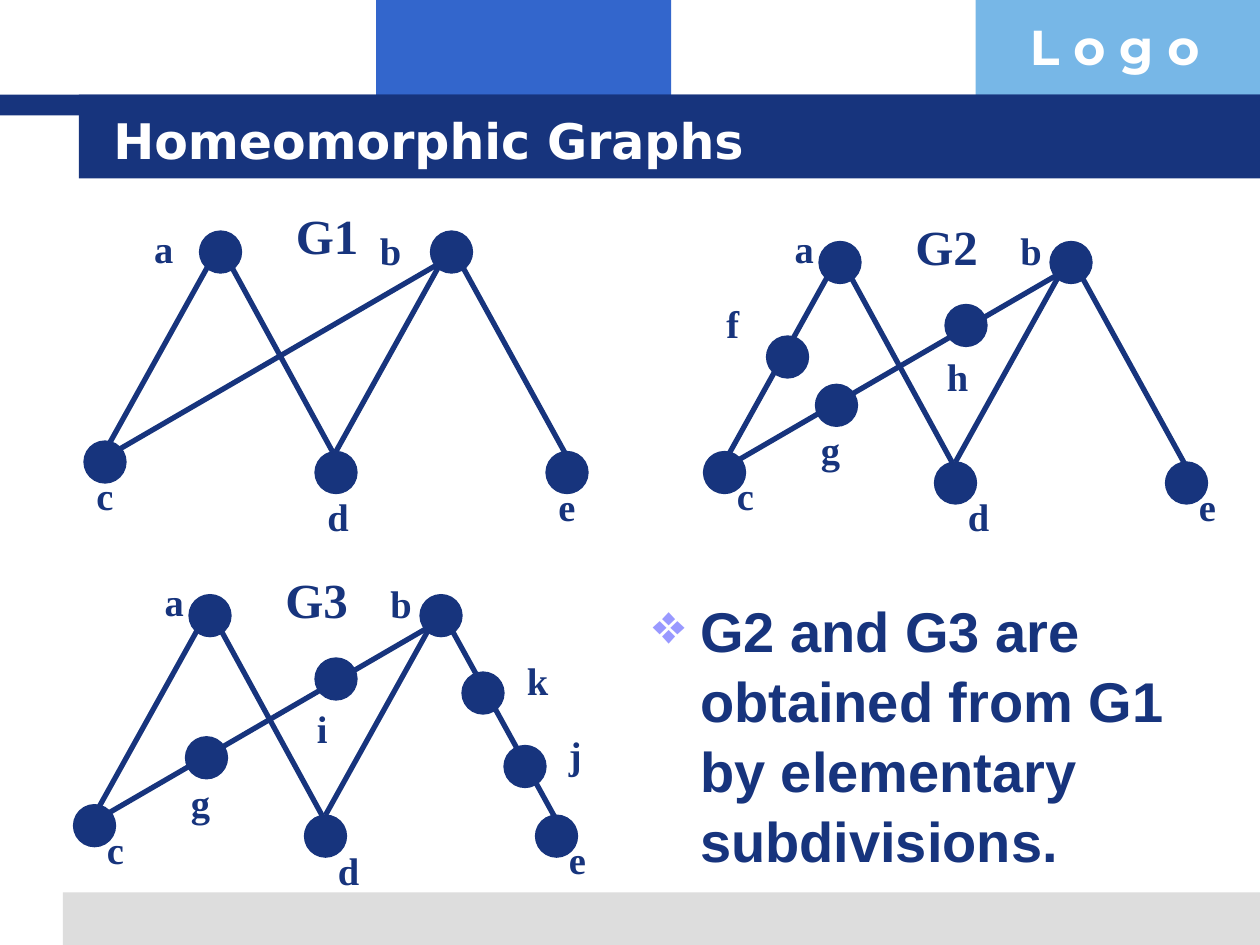
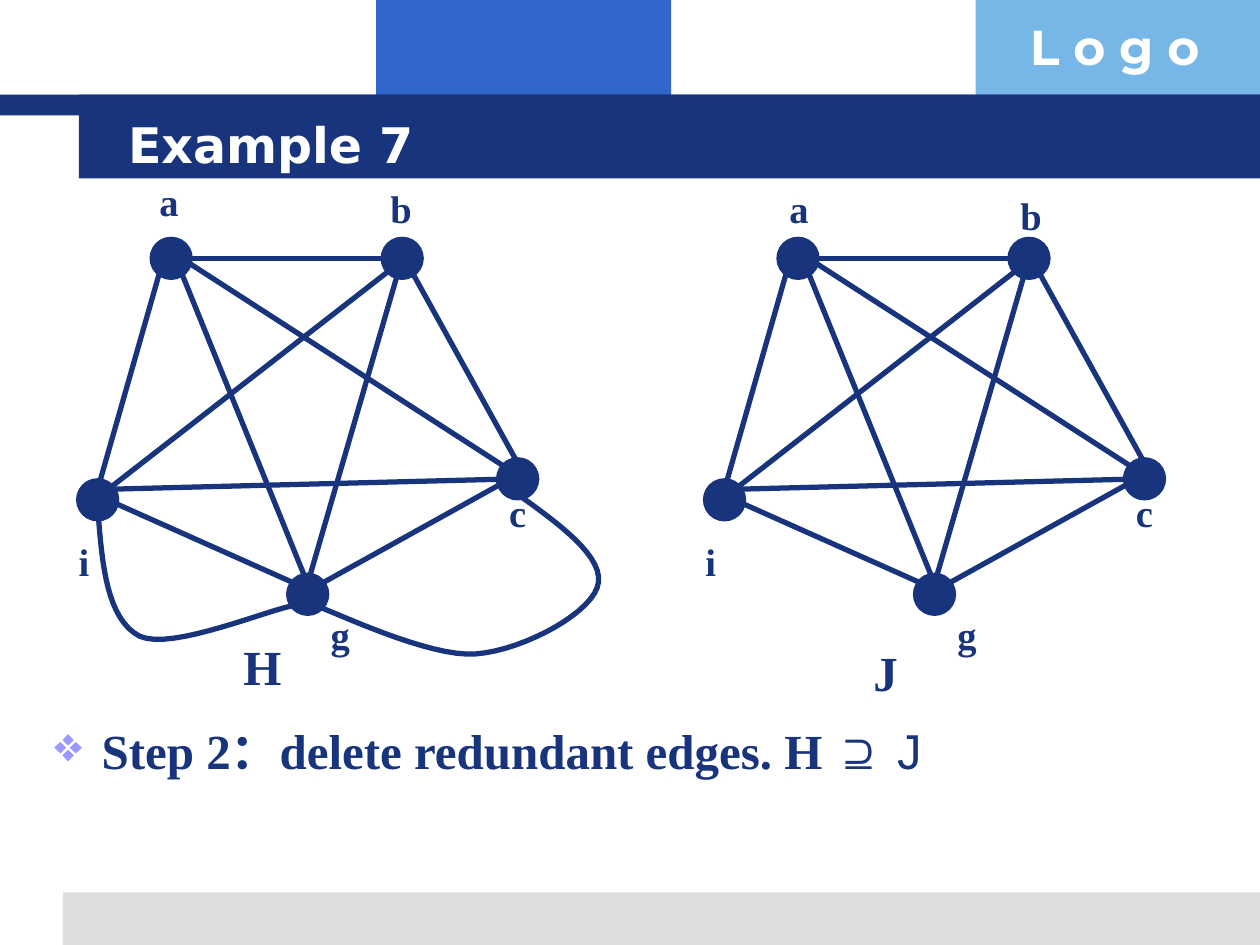
from typing import NamedTuple

from lxml import etree
from pptx import Presentation
from pptx.dml.color import RGBColor
from pptx.enum.shapes import MSO_CONNECTOR, MSO_SHAPE
from pptx.enum.text import MSO_ANCHOR, MSO_AUTO_SIZE, PP_ALIGN
from pptx.oxml.ns import qn
from pptx.util import Pt

RECTANGLE, OVAL = MSO_SHAPE.RECTANGLE, MSO_SHAPE.OVAL
STRAIGHT = MSO_CONNECTOR.STRAIGHT
MIDDLE, TOP = MSO_ANCHOR.MIDDLE, MSO_ANCHOR.TOP
NO_FIT, LEFT = MSO_AUTO_SIZE.NONE, PP_ALIGN.LEFT

COLORS = {"navy": "17347D", "blue": "3366CC", "sky": "77B7E7",
          "grey": "DDDDDD", "white": "FFFFFF", "bullet": "9999FF"}
SERIF, SANS = "Times New Roman", "Arial"
VERTEX_SIZE, EDGE_WIDTH, BULLET_INDENT = 24, 3, 27
CURVE_STEPS = 16

Point = tuple[float, float]
Box = tuple[float, float, float, float]


class Band(NamedTuple):
    box: Box
    color: str


class Style(NamedTuple):
    size: float
    name: str
    color: str = "navy"
    bold: bool = True


class Edge(NamedTuple):
    begin: Point
    end: Point


class Label(NamedTuple):
    text: str
    at: Point


class Graph(NamedTuple):
    vertices: list[Point]
    edges: list[Edge]
    labels: list[Label]


BANDS = [
    Band((215, 0, 168.5, 66), "blue"),
    Band((557.5, 0, 162.5, 66), "sky"),
    Band((36, 510, 684, 30), "grey"),
    Band((0, 54, 720, 12), "navy"),
    Band((45, 54, 675, 48), "navy"),
]
HEADING = Style(28, "DejaVu Sans", "white")
LOGO = Style(28, "Montserrat", "white")
GRAPH_NAME, VERTEX_NAME = Style(28, SERIF), Style(22, SERIF)

# G1 is the base of the homeomorphic graphs; G2 and G3 are shifted versions
G1 = Graph(
    [(114, 132), (246, 132), (48, 252), (180, 258), (312, 258)],
    [Edge((60, 258), (120, 150)), Edge((196.5, 270), (131, 150)),
     Edge((252, 150), (66, 258)), Edge((192, 258), (252, 150)),
     Edge((329, 270), (263, 150))],
    [Label("a", (81, 124.8)), Label("b", (210, 126)), Label("c", (48, 266.4)),
     Label("d", (180, 278.4)), Label("e", (312, 272.4))],
)
G1_NAME_AT = (162, 114)
G2_SHIFT, G3_SHIFT = (354, 6), (-6, 207.8)
SUBDIVIDED_LABEL_SHIFT = (12, -6)

# Vertices added by elementary subdivision
G2_ADDED = Graph(
    [(438, 192), (466, 219.6), (540, 174)], [],
    [Label("f", (408, 168)), Label("g", (462, 240)), Label("h", (534, 198))],
)
G3_ADDED = Graph(
    [(264, 384), (106, 421), (180, 376), (288, 426)], [],
    [Label("k", (294, 372)), Label("g", (102, 441.6)),
     Label("i", (174, 399.6)), Label("j", (318, 414))],
)

# J and the straight part of H are the same graph
J = Graph(
    [(444, 135.6), (576, 135.6), (402, 273.6), (642, 261.6), (522, 327.6)],
    [Edge((414, 279.6), (450, 153.6)), Edge((534, 333.6), (461, 153.6)),
     Edge((582, 153.6), (420, 279.6)), Edge((659, 273.6), (592.6, 153.6)),
     Edge((534, 333.6), (588, 147.6)), Edge((654, 273.6), (420, 279.6)),
     Edge((648, 267.6), (462, 147.6)), Edge((582, 147.6), (462, 147.6)),
     Edge((423.4, 287.3), (531.4, 335.5)), Edge((542, 333.4), (650.2, 273.4))],
    [Label("i", (396, 304)), Label("g", (540, 345.6)), Label("c", (642, 276))],
)
H_SHIFT = (-358.2, 0)
TOP_LABELS = [Label("a", (84, 98.4)), Label("b", (216, 102)),
              Label("a", (444, 102)), Label("b", (576, 106))]

# Redundant edges of H: a start, then two control points and an end per piece
H_CURVES = [
    [(283, 273.6), (313, 294.5), (344, 315.4), (342, 332.6),
     (340.6, 349), (300, 371.5), (272, 373.7),
     (244.8, 375.8), (192, 350), (175.7, 344.2)],
    [(56, 291.6), (58.3, 323), (61.2, 354), (79.9, 363.6),
     (98.6, 372), (154, 347.8), (170, 345.6)],
]


def rgb(color: str) -> RGBColor:
    return RGBColor.from_string(COLORS[color])


def moved(point: Point, shift: Point) -> Point:
    return point[0] + shift[0], point[1] + shift[1]


def format_font(font, style: Style) -> None:
    values = {"size": Pt(style.size), "name": style.name, "bold": style.bold}
    for attribute, value in values.items():
        setattr(font, attribute, value)
    font.color.rgb = rgb(style.color)


def format_frame(frame, anchor=TOP) -> None:
    values = {"word_wrap": True, "auto_size": NO_FIT, "vertical_anchor": anchor}
    for attribute, value in values.items():
        setattr(frame, attribute, value)


def add_solid(slide, kind, box: Box, color: str, outlined: bool = False) -> None:
    shape = slide.shapes.add_shape(kind, *map(Pt, box))
    shape.shadow.inherit = False
    shape.fill.solid()
    shape.fill.fore_color.rgb = rgb(color)
    if outlined:
        shape.line.color.rgb = rgb(color)
        shape.line.width = Pt(0.75)
    else:
        shape.line.fill.background()


def add_text(slide, box: Box, text: str, style: Style) -> None:
    frame = slide.shapes.add_textbox(*map(Pt, box)).text_frame
    format_frame(frame)
    run = frame.paragraphs[0].add_run()
    run.text = text
    format_font(run.font, style)


def add_vertex_label(slide, label: Label) -> None:
    add_text(slide, (*label.at, 30, 34), label.text, VERTEX_NAME)


def add_graph_name(slide, text: str, at: Point) -> None:
    add_text(slide, (*at, 54, 41), text, GRAPH_NAME)


def add_edge(slide, begin: Point, end: Point) -> None:
    line = slide.shapes.add_connector(STRAIGHT, *map(Pt, (*begin, *end)))
    line.line.color.rgb = rgb("navy")
    line.line.width = Pt(EDGE_WIDTH)
    etree.SubElement(line.element.spPr, qn("a:effectLst"))


def add_graph(slide, graph: Graph, shift: Point = (0, 0),
              label_shift: Point = (0, 0)) -> None:
    for edge in graph.edges:
        add_edge(slide, moved(edge.begin, shift), moved(edge.end, shift))
    for vertex in graph.vertices:
        box = (*moved(vertex, shift), VERTEX_SIZE, VERTEX_SIZE)
        add_solid(slide, OVAL, box, "navy", outlined=True)
    for label in graph.labels:
        at = moved(moved(label.at, shift), label_shift)
        add_vertex_label(slide, Label(label.text, at))


def bezier(corners: list[Point], t: float) -> Point:
    weights = ((1 - t) ** 3, 3 * t * (1 - t) ** 2, 3 * t * t * (1 - t), t ** 3)
    return (sum(w * x for w, (x, _) in zip(weights, corners)),
            sum(w * y for w, (_, y) in zip(weights, corners)))


def add_curved_edge(slide, controls: list[Point]) -> None:
    points = [bezier(controls[first:first + 4], step / CURVE_STEPS)
              for first in range(0, len(controls) - 1, 3)
              for step in range(1, CURVE_STEPS + 1)]
    builder = slide.shapes.build_freeform(*map(Pt, controls[0]))
    builder.add_line_segments([(Pt(x), Pt(y)) for x, y in points], close=False)
    curve = builder.convert_to_shape()
    curve.shadow.inherit = False
    curve.fill.background()
    curve.line.color.rgb = rgb("navy")
    curve.line.width = Pt(EDGE_WIDTH)


def add_statement(slide, box: Box, parts: list[tuple[str, Style]],
                  spacing: float = 1.0) -> None:
    frame = slide.shapes.add_textbox(*map(Pt, box)).text_frame
    format_frame(frame)
    paragraph = frame.paragraphs[0]
    paragraph.line_spacing = spacing
    properties = paragraph._p.get_or_add_pPr()
    properties.set("marL", str(Pt(BULLET_INDENT)))
    properties.set("indent", str(-Pt(BULLET_INDENT)))
    bullet_color = etree.SubElement(properties, qn("a:buClr"))
    etree.SubElement(bullet_color, qn("a:srgbClr"), val=COLORS["bullet"])
    etree.SubElement(properties, qn("a:buChar"), char="❖")
    for text, style in parts:
        run = paragraph.add_run()
        run.text = text
        format_font(run.font, style)


def add_themed_slide(deck, heading: str, at: Point):
    slide = deck.slides.add_slide(deck.slide_layouts[5])
    for band in BANDS:
        add_solid(slide, RECTANGLE, band.box, band.color)
    add_text(slide, (581.5, 6, 138.5, 41), "L o g o", LOGO)

    # Bring the title in front of the bands
    title = slide.shapes.title
    title.element.getparent().append(title.element)
    title.left, title.top, title.width, title.height = map(Pt, (*at, 614, 44.6))
    title.text_frame.text = heading
    format_frame(title.text_frame, MIDDLE)
    paragraph = title.text_frame.paragraphs[0]
    paragraph.alignment = LEFT
    format_font(paragraph.runs[0].font, HEADING)
    return slide


def build_homeomorphic_graphs(deck) -> None:
    slide = add_themed_slide(deck, "Homeomorphic Graphs", (57.6, 57.6))
    add_graph(slide, G1)
    add_graph(slide, G1, G2_SHIFT, SUBDIVIDED_LABEL_SHIFT)
    add_graph(slide, G1, G3_SHIFT, SUBDIVIDED_LABEL_SHIFT)
    for added in (G2_ADDED, G3_ADDED):
        add_graph(slide, added)
    for name, shift in (("G1", (0, 0)), ("G2", G2_SHIFT), ("G3", G3_SHIFT)):
        add_graph_name(slide, name, moved(G1_NAME_AT, shift))
    add_statement(
        slide, (366, 336, 330, 174),
        [("G2 and G3 are obtained from G1 by elementary subdivisions.",
          Style(32, SANS))], spacing=1.04)


def build_example(deck) -> None:
    slide = add_themed_slide(deck, "Example 7", (66, 60))
    add_graph(slide, J)
    add_graph(slide, J, H_SHIFT)
    for controls in H_CURVES:
        add_curved_edge(slide, controls)
    for label in TOP_LABELS:
        add_vertex_label(slide, label)
    add_graph_name(slide, "H", (132, 360))
    add_graph_name(slide, "J", (492, 363.6))
    add_statement(
        slide, (24, 408, 678, 88.6),
        [("Step 2：delete redundant edges. H ", Style(28, SERIF)),
         ("⊇ J", Style(28, SANS, bold=False))])


def main() -> None:
    deck = Presentation()
    deck.slide_width, deck.slide_height = Pt(720), Pt(540)
    build_homeomorphic_graphs(deck)
    build_example(deck)
    deck.save("out.pptx")


if __name__ == "__main__":
    main()
